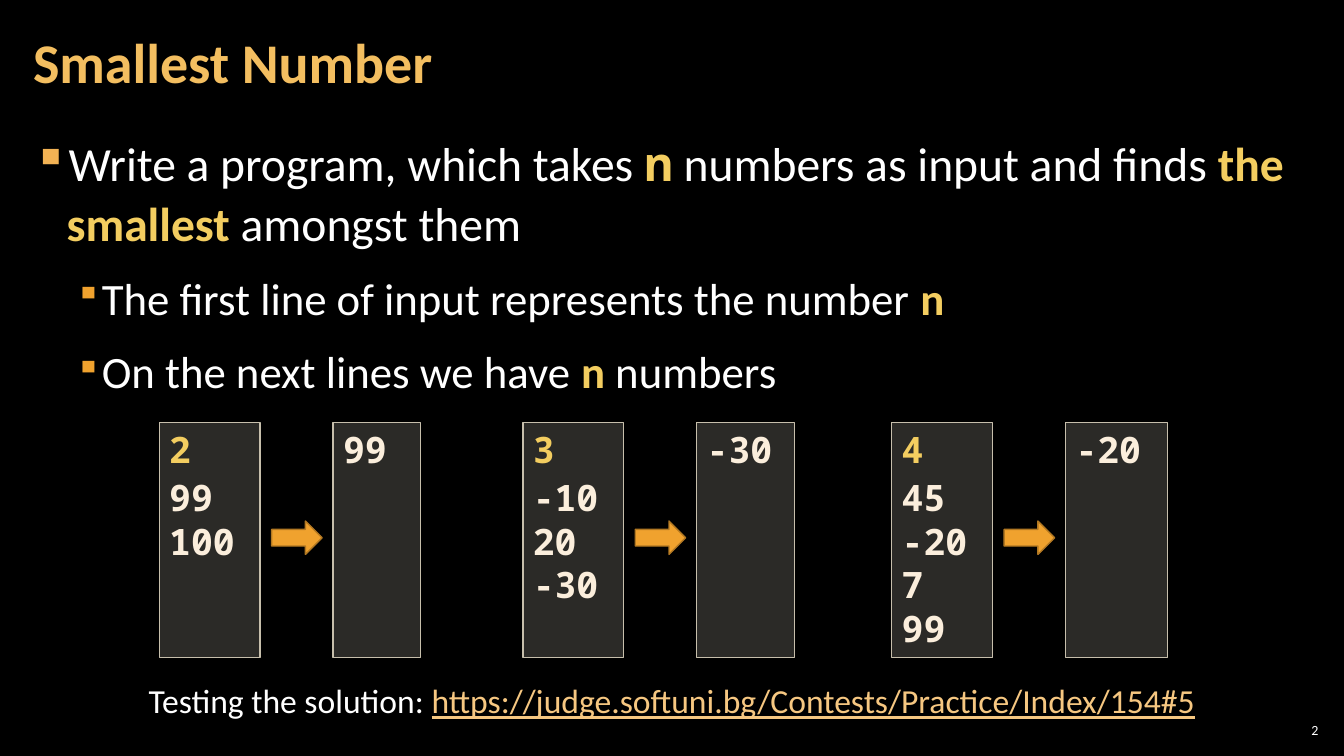
import pptx
import pptx.dml.color
import pptx.enum.shapes
import pptx.enum.text
import pptx.oxml.ns
import pptx.util
from dataclasses import dataclass
from lxml import etree

Pt = pptx.util.Pt
RGB = pptx.dml.color.RGBColor.from_string
SHAPE = pptx.enum.shapes.MSO_SHAPE
ALIGN = pptx.enum.text.PP_ALIGN
ANCHOR = pptx.enum.text.MSO_ANCHOR
qn = pptx.oxml.ns.qn


@dataclass(frozen=True)
class Theme:
    back: str = "000000"
    text: str = "FFFFFF"
    title: str = "F3BE60"
    key: str = "F3CD60"
    code: str = "FBEEDC"
    link: str = "F6C781"
    mark: str = "F2B254"
    arrow: str = "F0A22E"
    edge: str = "B27822"
    box: str = "D9D5C7"
    rim: str = "C7BFAC"
    sans: str = "Calibri"
    mono: str = "Noto Sans Mono"
    head: int = 40
    body: int = 34
    sub: int = 32
    data: int = 26
    note: int = 24
    page: int = 10


THEME = Theme()
KEY = dict(color=THEME.key, bold=True)


def add_text(para, text, *, size, color=THEME.text, font=THEME.sans,
             bold=False, under=False):
    """Add one run with its format."""
    run = para.add_run()
    run.text = text
    run.font.size = Pt(size)
    run.font.name = font
    run.font.bold = bold
    run.font.underline = under
    run.font.color.rgb = RGB(color)


def add_box(slide, x, y, w, h, side=7.2, edge=3.6, anchor=ANCHOR.TOP):
    """Add a text box and return its frame."""
    frame = slide.shapes.add_textbox(Pt(x), Pt(y), Pt(w), Pt(h)).text_frame
    frame.word_wrap = True
    frame.vertical_anchor = anchor
    frame.margin_left = frame.margin_right = Pt(side)
    frame.margin_top = frame.margin_bottom = Pt(edge)
    return frame


def add_shape(slide, kind, x, y, w, h, fill, line):
    shape = slide.shapes.add_shape(kind, Pt(x), Pt(y), Pt(w), Pt(h))
    shape.shadow.inherit = False
    shape.fill.solid()
    shape.fill.fore_color.rgb = RGB(fill)
    shape.line.color.rgb = RGB(line)
    shape.line.width = Pt(1)
    return shape


def add_bullet(para, left, hang, color, scale):
    props = para._p.get_or_add_pPr()
    props.set("marL", str(Pt(left)))
    props.set("indent", str(-Pt(hang)))
    tint = etree.SubElement(props, qn("a:buClr"))
    etree.SubElement(tint, qn("a:srgbClr"), val=color)
    etree.SubElement(props, qn("a:buSzPct"), val=str(scale * 1000))
    etree.SubElement(props, qn("a:buChar"), char="▪")


def add_points(slide, points):
    """Add the bullet list; each point is a level and its runs."""
    frame = add_box(slide, 15.1, 90.7, 929.5, 438.5, side=8.5, edge=2.9)
    for i, (level, runs) in enumerate(points):
        para = frame.add_paragraph() if i else frame.paragraphs[0]
        para.level = level
        if level:
            add_bullet(para, 48, 18, THEME.arrow, 80)
        else:
            add_bullet(para, 24, 24, THEME.mark, 100)
        para.line_spacing = 1.05
        para.space_before = Pt(6 if i else 0)
        para.space_after = Pt(6)
        size = THEME.sub if level else THEME.body
        for text, style in runs:
            add_text(para, text, size=size, **style)


def add_panel(slide, x, w, lines, count=False):
    """Add a code panel; count marks the first line as the number n."""
    shape = add_shape(slide, SHAPE.RECTANGLE, x, 301.7, w, 167.8,
                      THEME.box, THEME.rim)
    tint = shape.fill._xPr.find(".//" + qn("a:srgbClr"))
    etree.SubElement(tint, qn("a:alpha"), val="20000")
    frame = shape.text_frame
    frame.word_wrap = True
    frame.vertical_anchor = ANCHOR.TOP
    for i, line in enumerate(lines):
        para = frame.add_paragraph() if i else frame.paragraphs[0]
        para.alignment = ALIGN.LEFT
        if i == 1:
            para.space_before = Pt(3)
        color = THEME.key if count and i == 0 else THEME.code
        add_text(para, line, size=THEME.data, color=color,
                 font=THEME.mono, bold=True)


def add_case(slide, x, given, found, wide):
    """Add an input panel, an arrow and an output panel."""
    add_panel(slide, x, 72, given, count=True)
    add_panel(slide, x + 124.2, wide, [found])
    add_shape(slide, SHAPE.RIGHT_ARROW, x + 80.3, 372.2, 36, 23.8,
              THEME.arrow, THEME.edge)


def main():
    deck = pptx.Presentation()
    deck.slide_width, deck.slide_height = Pt(960), Pt(540)
    slide = deck.slides.add_slide(deck.slide_layouts[6])
    slide.background.fill.solid()
    slide.background.fill.fore_color.rgb = RGB(THEME.back)

    # Page number
    para = add_box(slide, 910.8, 514.1, 33.8, 15.1, side=2.9, edge=2.9,
                   anchor=ANCHOR.MIDDLE).paragraphs[0]
    para.alignment = ALIGN.RIGHT
    add_text(para, "2", size=THEME.page)

    # Title
    para = add_box(slide, 15.1, 2.9, 753.8, 87.1, side=8.5, edge=2.9,
                   anchor=ANCHOR.MIDDLE).paragraphs[0]
    para.line_spacing = 0.9
    add_text(para, "Smallest Number", size=THEME.head,
             color=THEME.title, bold=True)

    # Task
    add_points(slide, [
        (0, [("Write a program, which takes ", {}),
             ("n", dict(KEY, font=THEME.mono)),
             (" numbers as input and finds ", {}),
             ("the smallest ", KEY), ("amongst them", {})]),
        (1, [("The first line of input represents the number ", {}),
             ("n", KEY)]),
        (1, [("On the next lines we have ", {}), ("n", KEY),
             (" numbers", {})]),
    ])

    # Examples
    for x, given, found, wide in [
        (113.8, ["2", "99", "100"], "99", 62.6),
        (373.5, ["3", "-10", "20", "-30"], "-30", 70),
        (637, ["4", "45", "-20", "7", "99"], "-20", 72.7),
    ]:
        add_case(slide, x, given, found, wide)

    # Test address
    para = add_box(slide, 59.8, 482.4, 840.2, 36).paragraphs[0]
    para.alignment = ALIGN.CENTER
    add_text(para, "Testing the solution: ", size=THEME.note)
    add_text(para, "https://judge.softuni.bg/Contests/Practice/Index/154#5",
             size=THEME.note, color=THEME.link, under=True)

    deck.save("out.pptx")


if __name__ == "__main__":
    main()
